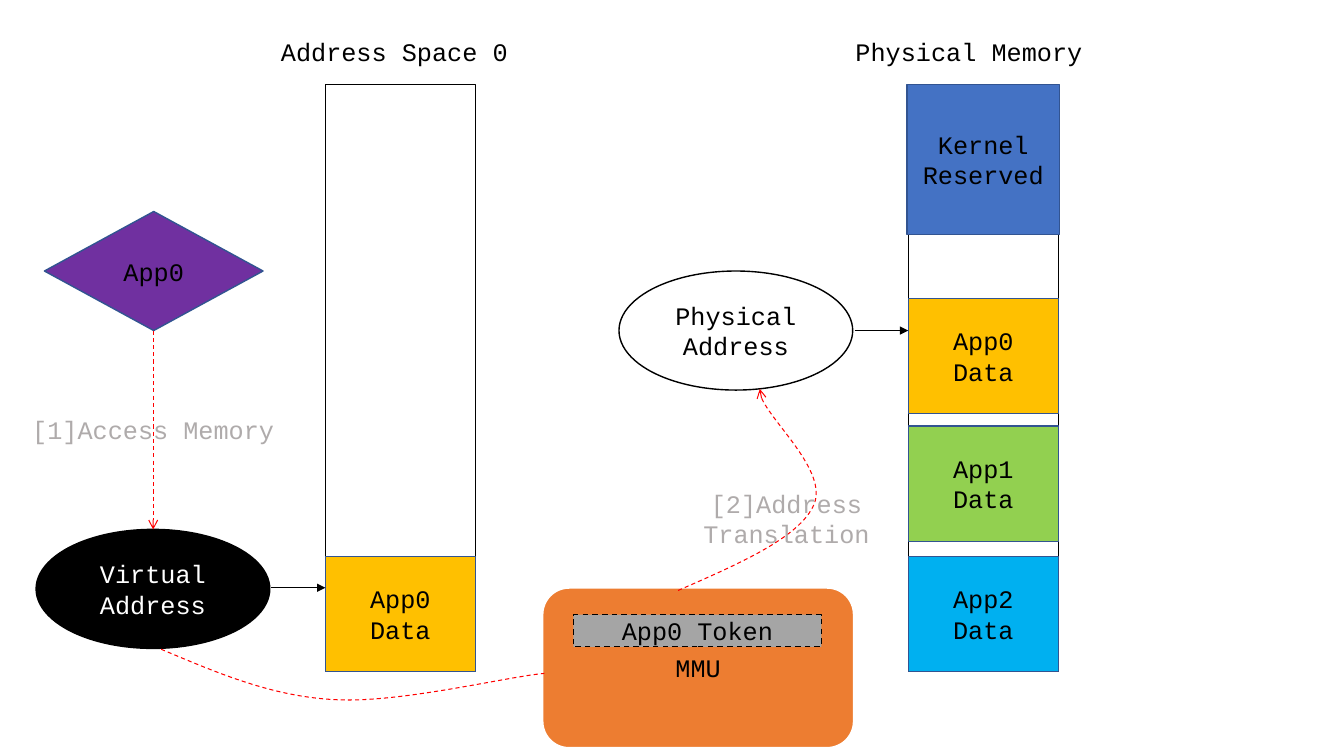
from dataclasses import dataclass

from lxml import etree
from pptx import Presentation
from pptx import util as u
from pptx.dml.color import RGBColor
from pptx.enum import dml, shapes, text
from pptx.oxml import ns


@dataclass(frozen=True)
class Theme:
    font: str = "Courier New"
    size: float = 18
    thin: float = 0.5
    flow: float = 0.75
    edge: float = 1
    bold: float = 1.5
    black: str = "000000"
    white: str = "FFFFFF"
    navy: str = "325491"
    blue: str = "4472C4"
    gold: str = "FFC000"
    green: str = "92D050"
    sky: str = "00B0F0"
    orange: str = "ED7D31"
    purple: str = "7030A0"
    gray: str = "A5A5A5"
    pale: str = "AFABAB"
    red: str = "FF0000"


class Board:
    def __init__(self, slide, theme):
        self.items = slide.shapes
        self.theme = theme

    def stroke(self, line, color, width, dash=False, head=None):
        line.color.rgb = RGBColor.from_string(color)
        line.width = u.Pt(width)
        if dash:
            line.dash_style = dml.MSO_LINE.DASH
        if head:
            etree.SubElement(line._get_or_add_ln(), ns.qn("a:tailEnd"), type=head)

    def letter(self, frame, words, color, align):
        for i, row in enumerate(words.split("\n")):
            para = frame.paragraphs[0] if i == 0 else frame.add_paragraph()
            para.alignment = align
            run = para.add_run()
            run.text = row
            run.font.name = self.theme.font
            run.font.size = u.Pt(self.theme.size)
            run.font.color.rgb = RGBColor.from_string(color)

    def shape(self, kind, box, fill, edge, words="", ink=None, width=None, dash=False):
        item = self.items.add_shape(kind, *map(u.Cm, box))
        item.shadow.inherit = False
        item.fill.solid()
        item.fill.fore_color.rgb = RGBColor.from_string(fill)
        self.stroke(item.line, edge, width or self.theme.edge, dash)
        if words:
            item.text_frame.vertical_anchor = text.MSO_ANCHOR.MIDDLE
            self.letter(item.text_frame, words, ink or self.theme.black,
                        text.PP_ALIGN.CENTER)

    def label(self, box, words, color, align=text.PP_ALIGN.LEFT,
              anchor=text.MSO_ANCHOR.TOP):
        frame = self.items.add_textbox(*map(u.Cm, box)).text_frame
        frame.word_wrap = True
        frame.vertical_anchor = anchor
        self.letter(frame, words, color, align)

    def arrow(self, start, end, color, width, head, dash=False):
        item = self.items.add_connector(shapes.MSO_CONNECTOR.STRAIGHT,
                                        *map(u.Cm, start + end))
        self.stroke(item.line, color, width, dash, head)
        etree.SubElement(item._element.spPr, ns.qn("a:effectLst"))

    def curve(self, points, head=None):
        first, *rest = [tuple(map(u.Cm, point)) for point in points]
        draft = self.items.build_freeform(*first)
        draft.add_line_segments(rest, close=False)
        item = draft.convert_to_shape()
        # Turn each three straight segments into one Bezier segment
        steps = list(item._element.iter(ns.qn("a:lnTo")))
        for i in range(0, len(steps), 3):
            bend = etree.Element(ns.qn("a:cubicBezTo"))
            steps[i].addprevious(bend)
            for step in steps[i:i + 3]:
                bend.append(step[0])
                step.getparent().remove(step)
        item.shadow.inherit = False
        item.fill.background()
        self.stroke(item.line, self.theme.red, self.theme.flow, True, head)


deck = Presentation()
deck.slide_width, deck.slide_height = u.Cm(33.87), u.Cm(19.05)
t = Theme()
board = Board(deck.slides.add_slide(deck.slide_layouts[6]), t)
kind = shapes.MSO_SHAPE
mid = text.PP_ALIGN.CENTER

# Memory columns and their headings
virt, phys, wide, top = 8.2, 22.89, 3.78, 2.13
for left, head, side, span in ((phys, "Physical Memory", 21.31, 9.91),
                               (virt, "Address Space 0", 6.83, 8.59)):
    board.shape(kind.RECTANGLE, (left, top, wide, 14.78), t.white, t.black)
    board.label((side, 0.79, span, 1.02), head, t.black)
board.shape(kind.RECTANGLE, (22.86, top, 3.84, 3.78), t.blue, t.navy,
            "Kernel\nReserved")

# Data blocks
for left, y, app, fill in ((virt, 14.02, "App0", t.gold),
                           (phys, 7.52, "App0", t.gold),
                           (phys, 10.74, "App1", t.green),
                           (phys, 14.02, "App2", t.sky)):
    board.shape(kind.RECTANGLE, (left, y, wide, 2.9), fill, t.navy, app + "\nData")

# Addresses, each pointing at its data block
for x, y, name, fill, ink, tail, end in (
        (0.91, 13.34, "Virtual", t.black, t.white, (6.83, 14.81), virt),
        (15.6, 6.83, "Physical", t.white, t.black, (21.54, 8.33), phys)):
    board.shape(kind.OVAL, (x, y, 5.89, 3), fill, t.black, name + "\nAddress", ink)
    board.arrow(tail, (end, tail[1]), t.black, t.thin, "triangle")

# Translation unit and the curves through it
board.shape(kind.ROUNDED_RECTANGLE, (13.67, 14.81, 7.85, 4.04), t.orange, t.white,
            "MMU", width=t.bold)
board.curve([(4.06, 16.36), (5.44, 16.94), (6.83, 17.55), (8.43, 17.63),
             (10.06, 17.73), (12.83, 17.04), (13.72, 16.97)])
board.curve([(17.09, 14.88), (18.64, 14.2), (20.17, 13.54), (20.52, 12.7),
             (20.85, 11.86), (19.05, 10.29), (19.15, 9.8)], "arrow")

# App and its memory access
board.shape(kind.FLOWCHART_DECISION, (1.12, 5.33, 5.51, 3), t.purple, t.navy, "App0")
board.arrow((3.86, 8.33), (3.86, 13.34), t.red, t.flow, "arrow", True)

# Step labels and token
for box, words in (((0.48, 9.7, 6.76, 2.24), "[1]Access Memory"),
                   ((17.42, 11.94, 4.8, 2.24), "[2]Address Translation")):
    board.label(box, words, t.pale, mid, text.MSO_ANCHOR.MIDDLE)
board.shape(kind.RECTANGLE, (14.45, 15.49, 6.25, 0.81), t.gray, t.black,
            "App0 Token", dash=True)

deck.save("out.pptx")
